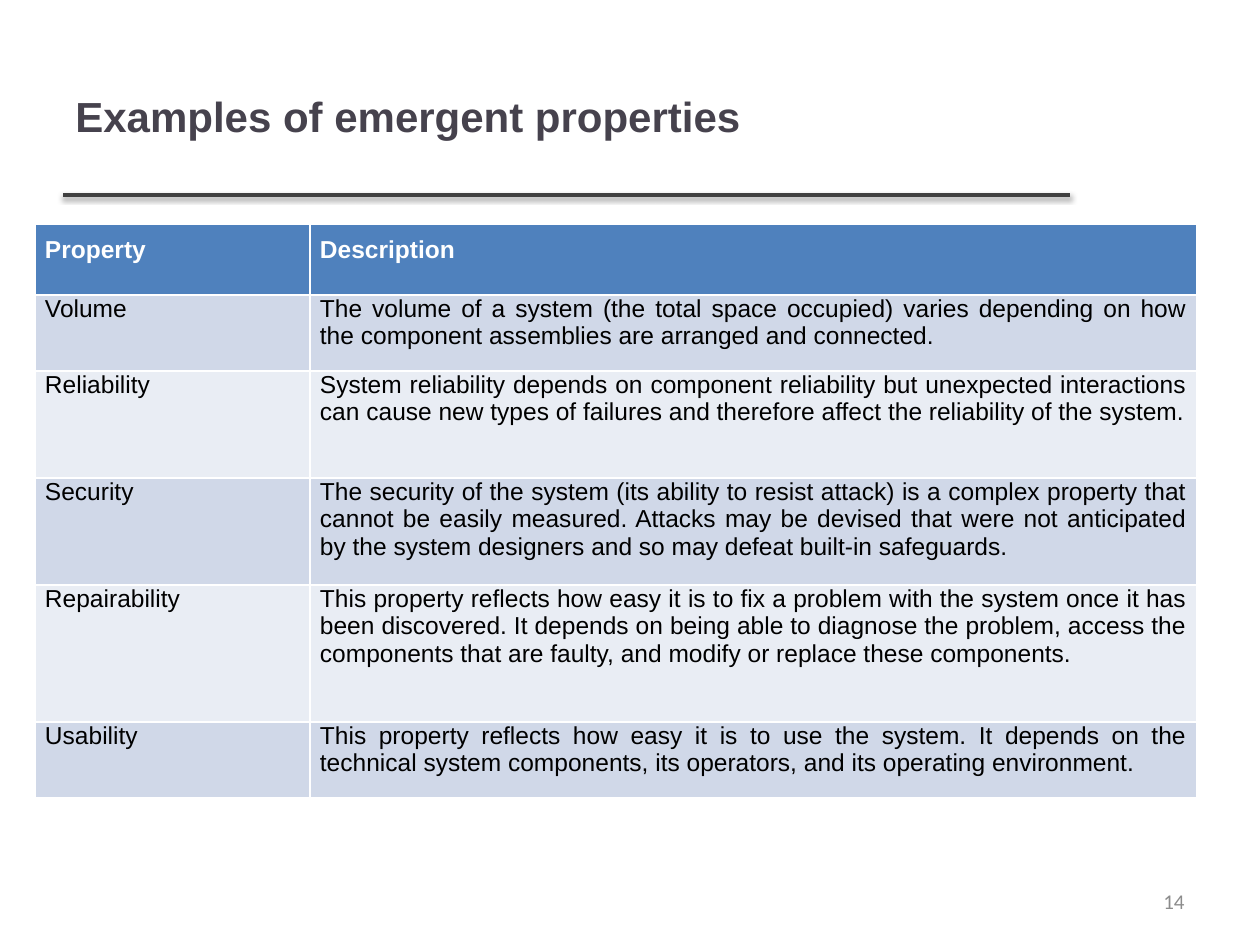
from lxml.etree import SubElement
from pptx import Presentation
from pptx.dml.color import RGBColor
from pptx.enum.shapes import MSO_CONNECTOR as Connector
from pptx.enum.text import MSO_ANCHOR as Anchor, PP_ALIGN as Align
from pptx.oxml.ns import qn
from pptx.util import Emu, Pt

SCALE = 914400 / 126  # EMU per px
COLORS = {
    "title": "46424D", "rule": "404040", "shadow": "000000",
    "header": "4F81BD", "header_text": "FFFFFF", "text": "000000",
    "band_dark": "D0D8E8", "band_light": "E9EDF4", "number": "8C8C8C",
}
COLUMN_WIDTHS = [275, 887]
ROW_HEIGHTS = [71, 76, 107, 107, 137, 76]
ROWS = [
    ("Property", "Description"),
    ("Volume",
     "The volume of a system (the total space occupied) varies depending on "
     "how the component assemblies are arranged and connected."),
    ("Reliability",
     "System reliability depends on component reliability but unexpected "
     "interactions can cause new types of failures and therefore affect the "
     "reliability of the system."),
    ("Security",
     "The security of the system (its ability to resist attack) is a complex "
     "property that cannot be easily measured. Attacks may be devised that "
     "were not anticipated by the system designers and so may defeat built-in "
     "safeguards."),
    ("Repairability",
     "This property reflects how easy it is to fix a problem with the system "
     "once it has been discovered. It depends on being able to diagnose the "
     "problem, access the components that are faulty, and modify or replace "
     "these components."),
    ("Usability",
     "This property reflects how easy it is to use the system. It depends on "
     "the technical system components, its operators, and its operating "
     "environment."),
]


def px(length):
    return Emu(round(length * SCALE))


def color(name):
    return RGBColor.from_string(COLORS[name])


def add_span(para, text, size, color_name, bold=False, font="Arial"):
    span = para.add_run()
    span.text = text
    span.font.name = font
    span.font.size = Pt(size)
    span.font.bold = bold
    span.font.color.rgb = color(color_name)


def add_text(page, box, text, size, color_name, align=Align.LEFT, **style):
    frame = page.shapes.add_textbox(*map(px, box)).text_frame
    frame.word_wrap = True
    frame.vertical_anchor = Anchor.MIDDLE
    para = frame.paragraphs[0]
    para.alignment = align
    add_span(para, text, size, color_name, **style)


def add_rule(page, left, top, width):
    rule = page.shapes.add_connector(
        Connector.STRAIGHT, px(left), px(top), px(left + width), px(top))
    rule.line.color.rgb = color("rule")
    rule.line.width = Pt(2)
    # Soft shadow straight below the line
    effects = SubElement(rule._element.spPr, qn("a:effectLst"))
    shadow = SubElement(effects, qn("a:outerShdw"), blurRad=str(Pt(3.1)),
                        dist=str(Pt(1.6)), dir="5400000", rotWithShape="0")
    tint = SubElement(shadow, qn("a:srgbClr"), val=COLORS["shadow"])
    SubElement(tint, qn("a:alpha"), val="38000")


def fill_cell(cell, text, row):
    is_header = row == 0
    band = "band_dark" if row % 2 else "band_light"
    cell.fill.solid()
    cell.fill.fore_color.rgb = color("header" if is_header else band)
    cell.margin_left = cell.margin_right = px(10)
    cell.margin_top = px(12 if is_header else 0)
    cell.margin_bottom = px(12)
    para = cell.text_frame.paragraphs[0]
    para.alignment = Align.JUSTIFY
    add_span(para, text, 14, "header_text" if is_header else "text", is_header)


def add_property_table(page, left, top):
    # The default table style supplies the white cell borders
    table = page.shapes.add_table(
        len(ROWS), len(COLUMN_WIDTHS), px(left), px(top),
        px(sum(COLUMN_WIDTHS)), px(sum(ROW_HEIGHTS))).table
    for column, width in zip(table.columns, COLUMN_WIDTHS):
        column.width = px(width)
    for row, (height, texts) in enumerate(zip(ROW_HEIGHTS, ROWS)):
        table.rows[row].height = px(height)
        for column, text in enumerate(texts):
            fill_cell(table.cell(row, column), text, row)


def add_heading(page, box):
    left, top, width, height = box
    add_text(page, box, "Examples of emergent properties", 24, "title",
             bold=True)
    add_rule(page, left, top + height + 1, 1007)


def main():
    deck = Presentation()
    deck.slide_width, deck.slide_height = px(1260), px(945)
    page = deck.slides.add_slide(deck.slide_layouts[6])

    # Title with its rule
    add_heading(page, (63, 37, 1134, 157))
    # Properties and their descriptions
    add_property_table(page, 35, 224)
    # Page number
    add_text(page, (903, 876, 294, 50), "14", 12, "number", Align.RIGHT,
             font="Calibri")

    deck.save("out.pptx")


if __name__ == "__main__":
    main()
